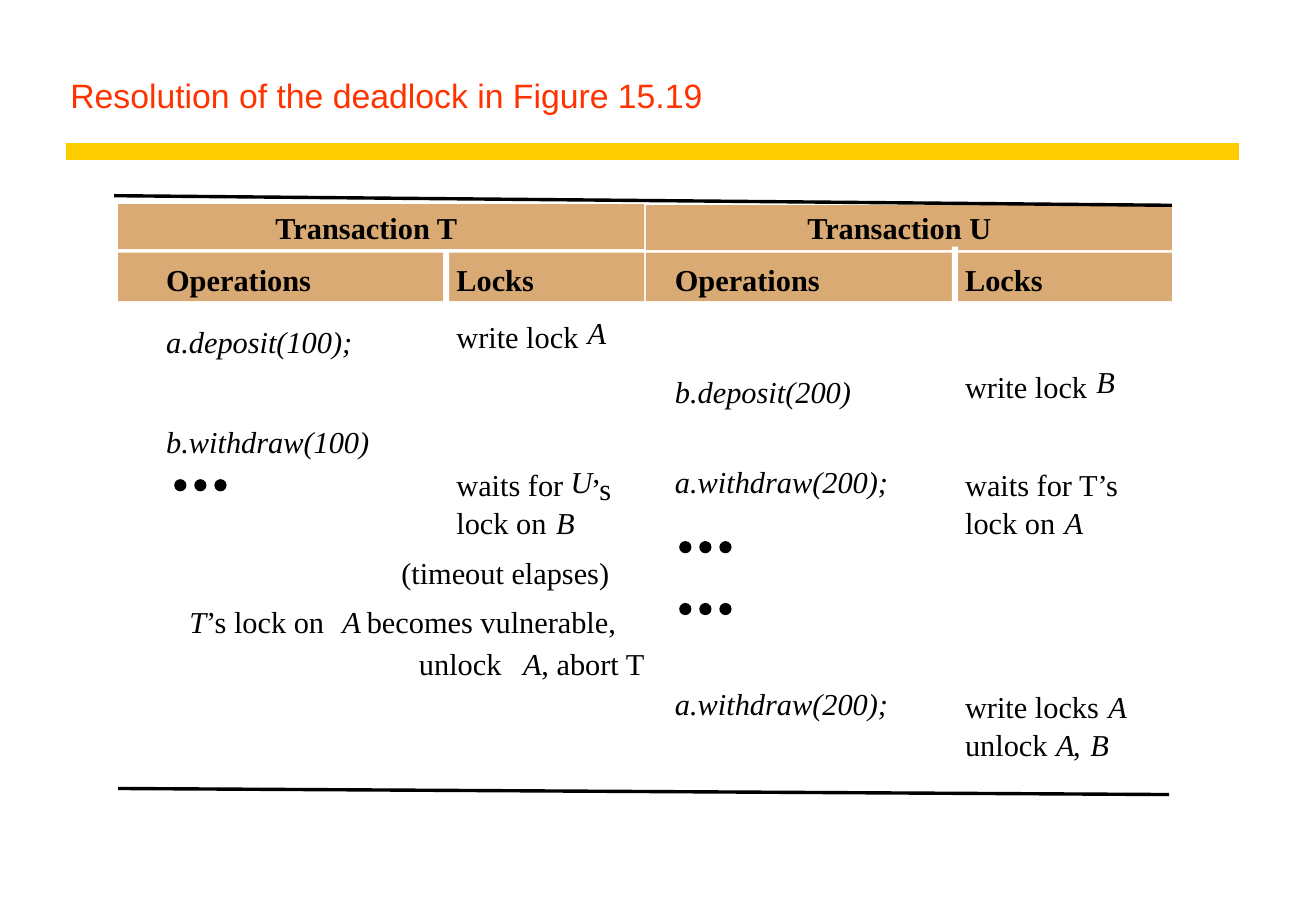
import dataclasses

import pptx
import pptx.dml.color
import pptx.enum.shapes
import pptx.enum.text
import pptx.oxml
import pptx.util

Pt = pptx.util.Pt
SHAPES = pptx.enum.shapes.MSO_SHAPE


@dataclasses.dataclass(frozen=True)
class Theme:
    """Colours, fonts and type sizes of the slide."""
    title: str = "FF3300"
    accent: str = "FFCC00"
    header: str = "D9AA73"
    ink: str = "000000"
    paper: str = "FFFFFF"
    title_font: str = "Arial"
    body_font: str = "Times New Roman"
    title_size: float = 20
    body_size: float = 18


@dataclasses.dataclass(frozen=True)
class Transaction:
    """One half of the table, with offsets from its left edge and body top."""
    name: str
    name_left: float
    name_width: float
    header_top: float
    divider_top: float
    operations: float
    locks: float
    fragments: tuple
    ellipses: tuple


THEME = Theme()
LINE_HEIGHT = 21.6

TRANSACTION_T = Transaction(
    "Transaction T", 93.4, 110, 121, 149, 28.6, 200.7,
    fragments=(
        (28.6, 11.5, 113, "*a.deposit(100);"),
        (200.7, 8.6, 77, "write lock"),
        (278.5, 6.5, 12, "*A"),
        (28.6, 70.6, 123, "*b.withdraw(100)"),
        (200.7, 96.5, 67.7, "waits for"),
        (268.4, 94.3, 14, "*U"),
        (280.6, 98.6, 14, "’s"),
        (200.7, 118.8, 58.3, "lock on"),
        (259.8, 118.8, 12, "*B"),
        (168, 148.3, 126, "(timeout elapses)"),
        (42.3, 177.8, 85.7, "*T*’s lock on"),
        (133, 177.8, 12, "*A"),
        (147.6, 177.8, 150, "becomes vulnerable,"),
        (178.5, 202.3, 53.3, "unlock"),
        (240.3, 202.3, 12, "*A"),
        (251.1, 202.3, 62, ", abort T"),
    ),
    ellipses=((33.7, 104.4),),
)

TRANSACTION_U = Transaction(
    "Transaction U", 95.8, 112, 121.7, 146.2, 17.3, 189.4,
    fragments=(
        (17.3, 41, 107, "*b.deposit(200)"),
        (189.4, 38.2, 77, "write lock"),
        (267.2, 35.3, 12, "*B"),
        (17.3, 94.3, 129, "*a.withdraw(200);"),
        (189.4, 96.5, 93, "waits for T’s"),
        (189.4, 118.8, 58.3, "lock on"),
        (248.4, 118.8, 12, "*A"),
        (17.3, 226.1, 129, "*a.withdraw(200);"),
        (189.4, 228.2, 84.2, "write locks"),
        (274.4, 228.2, 12, "*A"),
        (189.4, 250.6, 53.3, "unlock"),
        (243.4, 250.6, 12, "*A"),
        (253.5, 250.6, 9.4, ","),
        (263.6, 250.6, 12, "*B"),
    ),
    ellipses=((20.2, 141.1), (20.2, 177.8)),
)


def rgb(colour):
    """Return the colour object for a hexadecimal string."""
    return pptx.dml.color.RGBColor.from_string(colour)


def add_filled(slide, kind, left, top, width, height, colour):
    """Add a plain filled shape without outline."""
    shape = slide.shapes.add_shape(kind, Pt(left), Pt(top), Pt(width), Pt(height))
    shape.shadow.inherit = False
    shape.fill.solid()
    shape.fill.fore_color.rgb = rgb(colour)
    shape.line.fill.background()
    return shape


def add_rule(slide, start, end, colour, weight):
    """Add a straight line between two points."""
    connector = slide.shapes.add_connector(
        pptx.enum.shapes.MSO_CONNECTOR.STRAIGHT, *map(Pt, start + end))
    connector.line.color.rgb = rgb(colour)
    connector.line.width = Pt(weight)
    connector._element.spPr.append(pptx.oxml.parse_xml(
        '<a:effectLst xmlns:a="http://schemas.openxmlformats.org/drawingml/2006/main"/>'))


def add_label(slide, left, top, width, text, bold=False):
    """Add one line of table text; asterisks switch italics on and off."""
    box = slide.shapes.add_textbox(Pt(left), Pt(top), Pt(width), Pt(LINE_HEIGHT))
    frame = box.text_frame
    frame.margin_left = frame.margin_right = frame.margin_top = frame.margin_bottom = 0
    frame.word_wrap = False
    frame.auto_size = pptx.enum.text.MSO_AUTO_SIZE.SHAPE_TO_FIT_TEXT
    for index, part in enumerate(text.split("*")):
        if part:
            run = frame.paragraphs[0].add_run()
            run.text = part
            run.font.name = THEME.body_font
            run.font.size = Pt(THEME.body_size)
            run.font.color.rgb = rgb(THEME.ink)
            run.font.bold = bold
            run.font.italic = index % 2 == 1


def add_ellipsis(slide, left, top):
    """Add three dots in a row."""
    for index in range(3):
        dot = add_filled(slide, SHAPES.OVAL, left + index * 11.9, top, 6.5, 6.5, THEME.ink)
        dot.line.color.rgb = rgb(THEME.ink)
        dot.line.width = Pt(0.75)


def add_title(slide, left, top, width, height):
    """Add the slide title and the coloured bar below it."""
    box = slide.shapes.add_textbox(Pt(left), Pt(top), Pt(width), Pt(height))
    frame = box.text_frame
    frame.word_wrap = True
    frame.vertical_anchor = pptx.enum.text.MSO_ANCHOR.BOTTOM
    frame.text = "Resolution of the deadlock in Figure 15.19"
    font = frame.paragraphs[0].runs[0].font
    font.name = THEME.title_font
    font.size = Pt(THEME.title_size)
    font.color.rgb = rgb(THEME.title)
    bar = top + height + 18
    add_rule(slide, (left + 4.3, bar), (left + width, bar), THEME.accent, 10)


def add_transaction(slide, left, top, width, transaction):
    """Add the header and the steps of one transaction."""
    add_filled(slide, SHAPES.RECTANGLE, left, transaction.header_top, width, 26.6, THEME.header)
    add_filled(slide, SHAPES.RECTANGLE, left, top + 28.8, width, 28.8, THEME.header)
    add_filled(slide, SHAPES.RECTANGLE, left + transaction.locks - 7.9,
               transaction.divider_top, 3.6, 32.4, THEME.paper)
    add_label(slide, left + transaction.name_left, top + 2.8,
              transaction.name_width, transaction.name, bold=True)
    for heading, offset, heading_width in (
            ("Operations", transaction.operations, 88), ("Locks", transaction.locks, 47)):
        add_label(slide, left + offset, top + 33.8, heading_width, heading, bold=True)
    body = top + 59
    for offset, drop, fragment_width, text in transaction.fragments:
        add_label(slide, left + offset, body + drop, fragment_width, text)
    for offset, drop in transaction.ellipses:
        add_ellipsis(slide, left + offset, body + drop)


def add_schedule(slide, left, top, width, height):
    """Add both transactions side by side between two rules."""
    panel = 312
    add_transaction(slide, left, top, panel, TRANSACTION_T)
    add_transaction(slide, left + width - panel, top, panel, TRANSACTION_U)
    add_rule(slide, (left - 2.3, top - 5), (left + width, top + 0.7), THEME.ink, 2)
    add_rule(slide, (left, top + height - 3.6), (left + width - 1.6, top + height), THEME.ink, 2)


def main():
    """Build the slide and save it."""
    presentation = pptx.Presentation()
    presentation.slide_width = Pt(780.48)
    presentation.slide_height = Pt(540)
    slide = presentation.slides.add_slide(presentation.slide_layouts[6])
    add_title(slide, 34.6, 18, 700, 54)
    add_schedule(slide, 70, 121, 625, 350)
    presentation.save("out.pptx")


if __name__ == "__main__":
    main()
